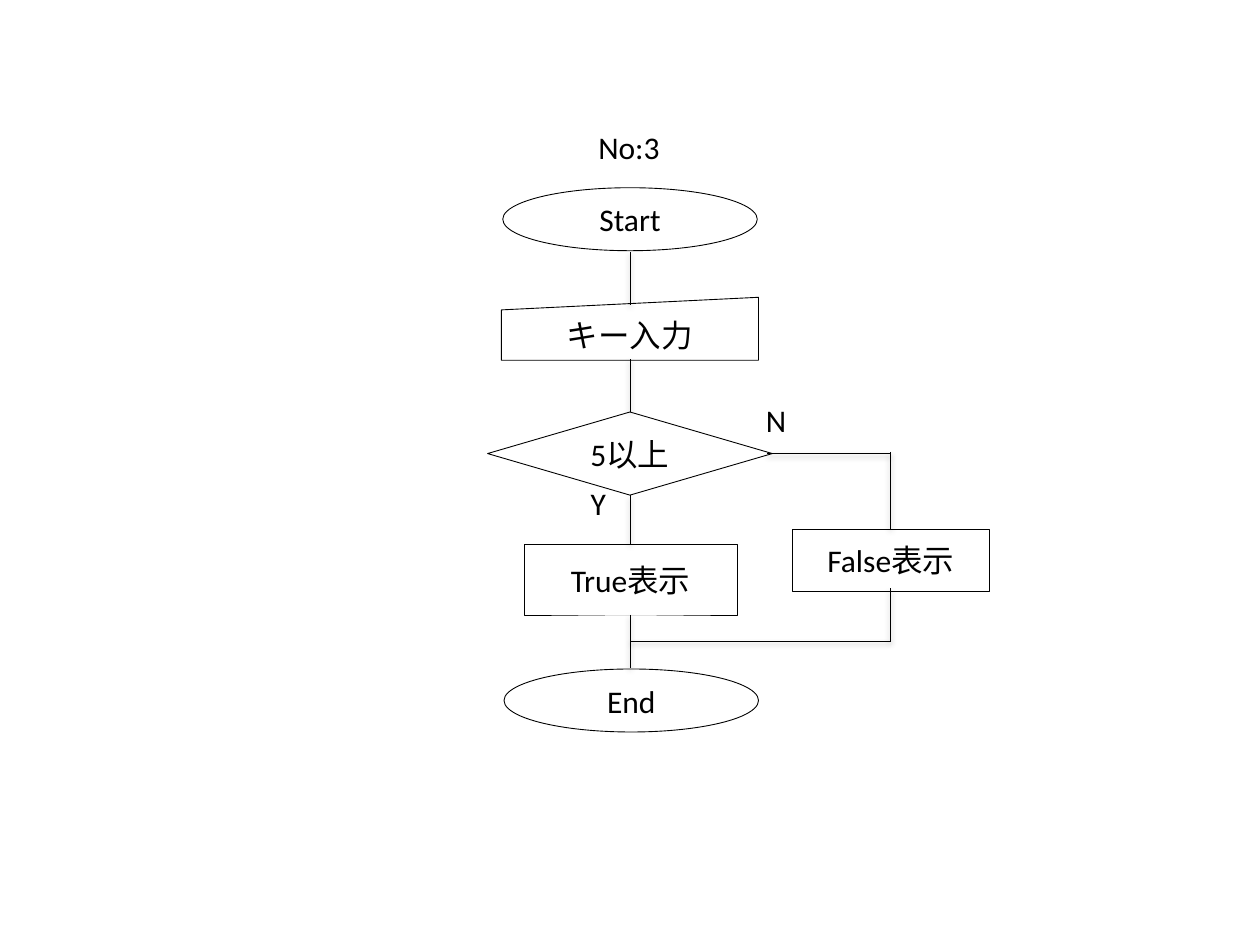
import pptx
import pptx.util
import pptx.dml.color
import pptx.enum.shapes
import pptx.enum.text
import pptx.oxml.ns
import lxml.etree

Inches, Pt = pptx.util.Inches, pptx.util.Pt
SHAPE = pptx.enum.shapes.MSO_SHAPE
BLACK = pptx.dml.color.RGBColor(0x00, 0x00, 0x00)
WHITE = pptx.dml.color.RGBColor(0xFF, 0xFF, 0xFF)
FONT, TEXT_SIZE = "Calibri", 18

# Content: text, preset, left, top, width, height, line width
STEPS = [
    ("Start", SHAPE.OVAL, 3.99, 1.49, 2.02, 0.5, 0.5),
    ("キー入力", SHAPE.FLOWCHART_MANUAL_INPUT, 3.98, 2.36, 2.04, 0.5, 0.5),
    ("5以上", SHAPE.FLOWCHART_DECISION, 3.87, 3.27, 2.26, 0.66, 0.5),
    ("True表示", SHAPE.RECTANGLE, 4.16, 4.32, 1.69, 0.56, 0.25),
    ("False表示", SHAPE.RECTANGLE, 6.29, 4.2, 1.56, 0.49, 0.25),
    ("End", SHAPE.OVAL, 4, 5.31, 2.02, 0.5, 0.5),
]
# Text, left, top, width, height, wrap
LABELS = [
    ("No:3", 4.65, 0.97, 0.71, 0.4, True),
    ("Y", 4.59, 3.79, 0.33, 0.4, False),
    ("N", 5.98, 3.13, 0.36, 0.4, False),
]
MAIN_X, BRANCH_X, MERGE_Y = 5, 7.07, 5.09
MAIN_LINKS = [(2, 2.42), (2.85, 3.27), (3.93, 4.32), (4.88, 5.3)]
BRANCH_LINKS = [(3.59, 4.2), (4.67, MERGE_Y)]
LINKS = (
    [(MAIN_X, top, MAIN_X, bottom) for top, bottom in MAIN_LINKS]
    + [(BRANCH_X, top, BRANCH_X, bottom) for top, bottom in BRANCH_LINKS]
    + [(6.09, 3.6, BRANCH_X, 3.6), (MAIN_X, MERGE_Y, BRANCH_X, MERGE_Y)]
)


def write(frame, text, align=None):
    paragraph = frame.paragraphs[0]
    paragraph.alignment = align
    run = paragraph.add_run()
    run.text = text
    run.font.name = FONT
    run.font.size = Pt(TEXT_SIZE)
    run.font.color.rgb = BLACK


def add_shadow(link):
    qn = pptx.oxml.ns.qn
    effects = lxml.etree.SubElement(link._element.spPr, qn("a:effectLst"))
    shadow = lxml.etree.SubElement(
        effects, qn("a:outerShdw"), blurRad=str(Pt(3.1)), dist=str(Pt(1.6)),
        dir="5400000", rotWithShape="0")
    colour = lxml.etree.SubElement(shadow, qn("a:srgbClr"), val=str(BLACK))
    lxml.etree.SubElement(colour, qn("a:alpha"), val="38000")


deck = pptx.Presentation()
deck.slide_width, deck.slide_height = Inches(10), Inches(7.5)
slide = deck.slides.add_slide(deck.slide_layouts[6])

# Flowchart steps
for text, preset, left, top, width, height, line_width in STEPS:
    step = slide.shapes.add_shape(
        preset, Inches(left), Inches(top), Inches(width), Inches(height))
    step.shadow.inherit = False
    step.fill.solid()
    step.fill.fore_color.rgb = WHITE
    step.line.color.rgb = BLACK
    step.line.width = Pt(line_width)
    step.text_frame.vertical_anchor = pptx.enum.text.MSO_ANCHOR.MIDDLE
    write(step.text_frame, text, pptx.enum.text.PP_ALIGN.CENTER)

# Links between steps
for x1, y1, x2, y2 in LINKS:
    link = slide.shapes.add_connector(
        pptx.enum.shapes.MSO_CONNECTOR.STRAIGHT,
        Inches(x1), Inches(y1), Inches(x2), Inches(y2))
    link.line.color.rgb = BLACK
    link.line.width = Pt(0.5)
    add_shadow(link)

# Title and branch labels
for text, left, top, width, height, wrap in LABELS:
    label = slide.shapes.add_textbox(
        Inches(left), Inches(top), Inches(width), Inches(height))
    label.text_frame.word_wrap = wrap
    label.text_frame.auto_size = pptx.enum.text.MSO_AUTO_SIZE.SHAPE_TO_FIT_TEXT
    write(label.text_frame, text)

deck.save("out.pptx")
